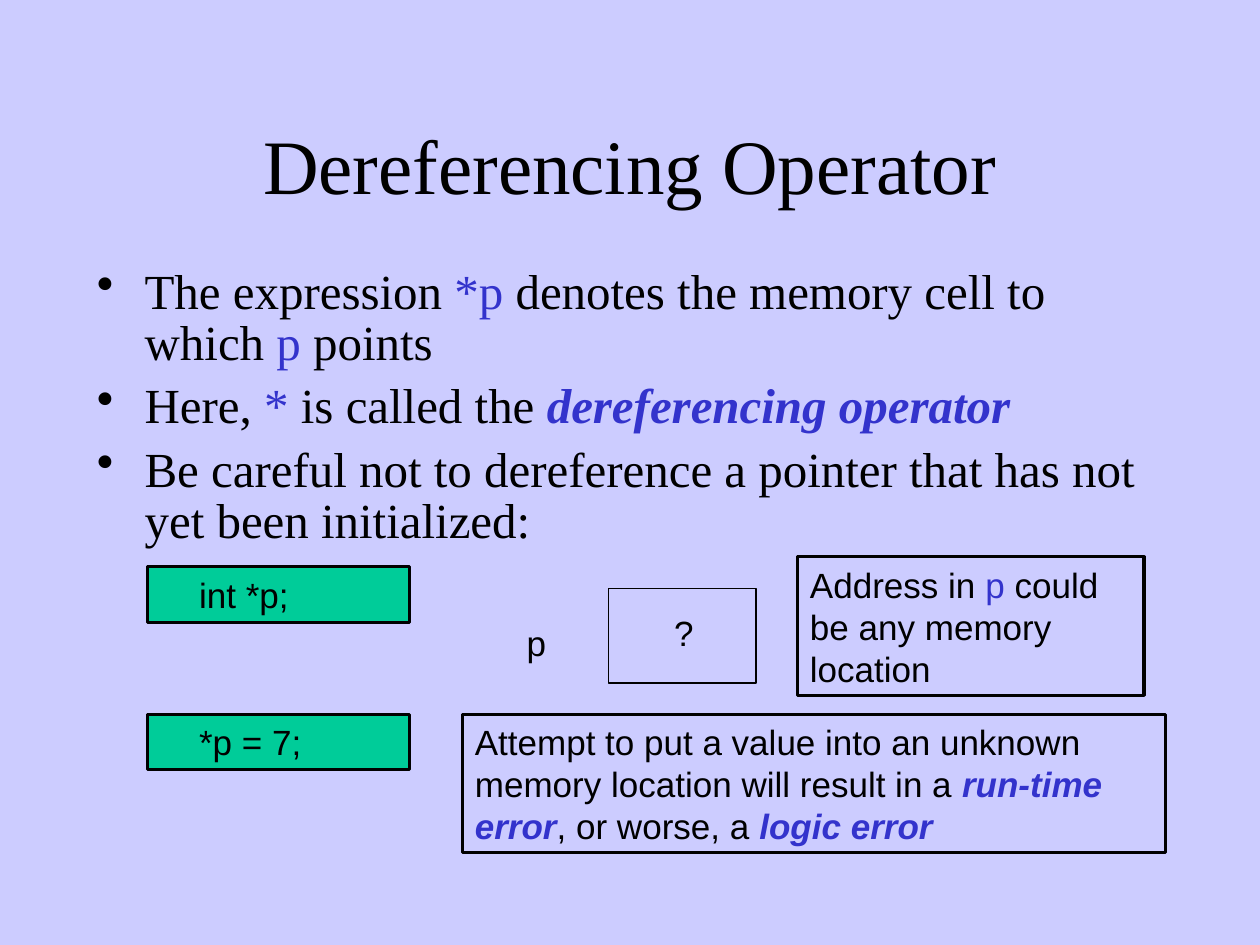
from lxml import etree
from pptx import Presentation
from pptx.dml.color import RGBColor
from pptx.enum.shapes import MSO_SHAPE as Shape
from pptx.enum.text import MSO_ANCHOR as Anchor, PP_ALIGN as Align
from pptx.oxml.ns import qn
from pptx.util import Inches, Pt

BACK = RGBColor(0xCC, 0xCC, 0xFF)
BLACK = RGBColor(0, 0, 0)
BLUE = RGBColor(0x33, 0x33, 0xCC)
GREEN = RGBColor(0, 0xCC, 0x99)
SERIF, SANS = "Times New Roman", "Arial"

POINTS = [
    [("The expression ", ""), ("*p", "c"), (" denotes the memory cell to which ", ""),
     ("p", "c"), (" points", "")],
    [("Here, ", ""), ("*", "c"), (" is called the ", ""),
     ("dereferencing operator", "cb")],
    [("Be careful not to dereference a pointer that has not yet been initialized:", "")],
]
NOTES = [
    ((6.33, 4.42, 2.75, 1.1),
     [("Address in ", ""), ("p", "c"), (" could be any memory location", "")]),
    ((3.67, 5.67, 5.58, 1.1),
     [("Attempt to put a value into an unknown memory location will result in a ", ""),
      ("run-time error", "cb"), (", or worse, a ", ""), ("logic error", "cb")]),
]


def add_bullet(para):
    props = para._p.get_or_add_pPr()
    props.set("marL", str(Inches(0.38)))
    props.set("indent", str(-Inches(0.38)))
    etree.SubElement(props, qn("a:buChar")).set("char", "•")


def put_text(shape, paras, font=SANS, size=20, align=Align.LEFT, anchor=Anchor.TOP,
             left=0.1, top=0.05, space=None, before=0, bullet=False):
    """Fill a shape; each run is (text, marks), c for blue and b for bold italic."""
    frame = shape.text_frame
    frame.word_wrap = True
    frame.vertical_anchor = anchor
    frame.margin_left, frame.margin_top = Inches(left), Inches(top)
    for i, runs in enumerate(paras):
        para = frame.add_paragraph() if i else frame.paragraphs[0]
        para.alignment = align
        para.space_before = Pt(before)
        if space:
            para.line_spacing = space
        if bullet:
            add_bullet(para)
        for text, marks in runs:
            run = para.add_run()
            run.text = text
            run.font.name, run.font.size = font, Pt(size)
            run.font.color.rgb = BLUE if "c" in marks else BLACK
            run.font.bold = run.font.italic = "b" in marks


def add_text(slide, box, paras, **style):
    put_text(slide.shapes.add_textbox(*map(Inches, box)), paras, **style)


def add_box(slide, box, fill=None, width=1.75):
    rect = slide.shapes.add_shape(Shape.RECTANGLE, *map(Inches, box))
    rect.shadow.inherit = False
    if fill is None:
        rect.fill.background()
    else:
        rect.fill.solid()
        rect.fill.fore_color.rgb = fill
    rect.line.color.rgb = BLACK
    rect.line.width = Pt(width)
    return rect


def main():
    deck = Presentation()
    deck.slide_width, deck.slide_height = Inches(10), Inches(7.5)
    slide = deck.slides.add_slide(deck.slide_layouts[6])
    slide.background.fill.solid()
    slide.background.fill.fore_color.rgb = BACK

    add_text(slide, (0.75, 0.67, 8.5, 1.25), [[("Dereferencing Operator", "")]],
             font=SERIF, size=44, align=Align.CENTER, anchor=Anchor.MIDDLE)
    add_text(slide, (0.67, 2.08, 8.5, 2.17), POINTS,
             font=SERIF, size=28, space=0.87, before=7, bullet=True)

    for top, code in ((4.5, "int *p;"), (5.67, "*p = 7;")):
        put_text(add_box(slide, (1.17, top, 2.08, 0.44), GREEN),
                 [[(code, "")]], left=0.41)

    add_box(slide, (4.83, 4.67, 1.17, 0.75), width=0.75)
    for left, top, label in ((4, 4.83, "p"), (5.17, 4.75, "?")):
        add_text(slide, (left, top, 0.5, 0.5), [[(label, "")]], left=0.18, top=0.1)

    for box, runs in NOTES:
        put_text(add_box(slide, box), [runs])

    deck.save("out.pptx")


if __name__ == "__main__":
    main()
